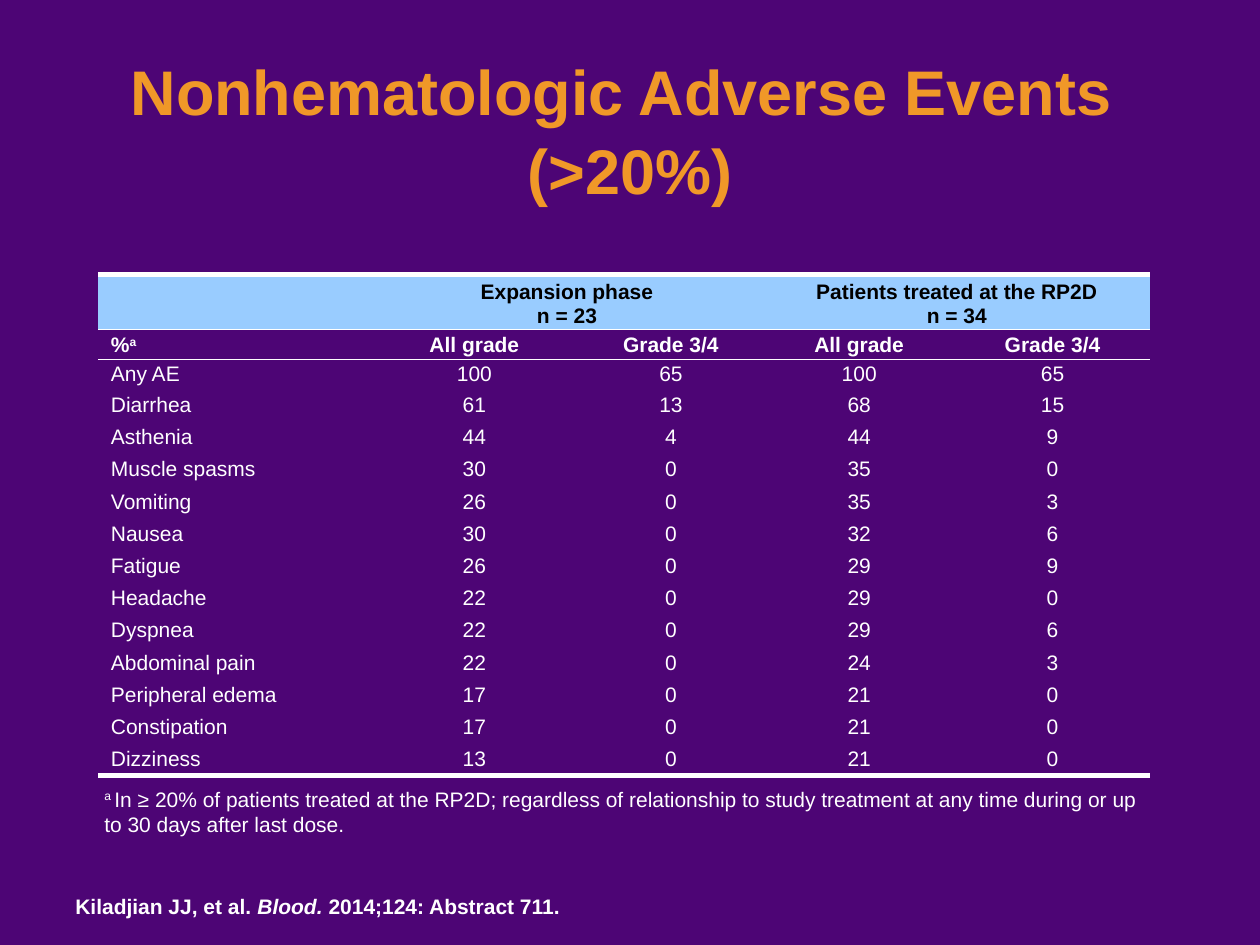
from lxml import etree
from pptx import Presentation
from pptx.dml.color import RGBColor
from pptx.enum.text import MSO_ANCHOR, PP_ALIGN
from pptx.oxml.ns import qn
from pptx.util import Pt

LEFT, CENTER = PP_ALIGN.LEFT, PP_ALIGN.CENTER
TOP, MIDDLE, BOTTOM = MSO_ANCHOR.TOP, MSO_ANCHOR.MIDDLE, MSO_ANCHOR.BOTTOM

FONT = "Arial"
BODY_SIZE = 12
NO_STYLE = "{2D5ABB26-0587-4C30-8999-92F81FD0307C}"
COLORS = {
    "background": "4D0575",
    "title": "F09828",
    "band": "99CCFF",
    "dark": "000000",
    "light": "FFFFFF",
}

TITLE = ["Nonhematologic Adverse Events ", "(>20%)"]
GROUPS = [
    ("Expansion phase", "n = 23"),
    ("Patients treated at the RP2D", "n = 34"),
]
GRADES = ["All grade", "Grade 3/4"]
EVENTS = [
    ("Any AE", 100, 65, 100, 65),
    ("Diarrhea", 61, 13, 68, 15),
    ("Asthenia", 44, 4, 44, 9),
    ("Muscle spasms", 30, 0, 35, 0),
    ("Vomiting", 26, 0, 35, 3),
    ("Nausea", 30, 0, 32, 6),
    ("Fatigue", 26, 0, 29, 9),
    ("Headache", 22, 0, 29, 0),
    ("Dyspnea", 22, 0, 29, 6),
    ("Abdominal pain", 22, 0, 24, 3),
    ("Peripheral edema", 17, 0, 21, 0),
    ("Constipation", 17, 0, 21, 0),
    ("Dizziness", 13, 0, 21, 0),
]
FOOTNOTE = [
    ("a ", {"raised": True}),
    ("In ≥ 20% of patients treated at the RP2D; regardless of relationship to "
     "study treatment at any time during or up to 30 days after last dose.", {}),
]
CITATION = [
    ("Kiladjian JJ, et al. ", {"bold": True}),
    ("Blood. ", {"bold": True, "italic": True}),
    ("2014;124: Abstract 711.", {"bold": True}),
]

COLUMN_WIDTHS = [155.5, 118.8, 105.8, 109.4, 111.6]
ROW_HEIGHTS = [30.2, 16.4, 16.4] + [18.4] * (len(EVENTS) - 1)


def color(name):
    return RGBColor.from_string(COLORS[name])


def add_span(para, text, size=BODY_SIZE, ink="light", bold=False, italic=False, raised=False):
    span = para.add_run()
    span.text = text
    span.font.name = FONT
    span.font.size = Pt(size)
    span.font.bold = bold
    span.font.italic = italic
    span.font.color.rgb = color(ink)
    if raised:
        span.font._element.set("baseline", "30000")


def add_box(page, left, top, width, height, anchor=TOP, wrap=True):
    box = page.shapes.add_textbox(Pt(left), Pt(top), Pt(width), Pt(height))
    box.text_frame.word_wrap = wrap
    box.text_frame.vertical_anchor = anchor
    return box.text_frame.paragraphs[0]


def add_border(cell, side, width):
    properties = cell._tc.get_or_add_tcPr()
    line = etree.Element(qn(f"a:ln{side}"), w=str(Pt(width)))
    fill = etree.SubElement(line, qn("a:solidFill"))
    etree.SubElement(fill, qn("a:srgbClr"), val=COLORS["light"])
    properties.insert(len(properties.findall(qn("a:lnT"))), line)


def fill_cell(cell, lines, align=CENTER, anchor=MIDDLE):
    cell.vertical_anchor = anchor
    frame = cell.text_frame
    for index, spans in enumerate(lines):
        para = frame.add_paragraph() if index else frame.paragraphs[0]
        para.alignment = align
        for text, style in spans:
            add_span(para, text, **style)


def add_event_table(page):
    shape = page.shapes.add_table(
        len(ROW_HEIGHTS), len(COLUMN_WIDTHS), Pt(56.2), Pt(157),
        Pt(sum(COLUMN_WIDTHS)), Pt(sum(ROW_HEIGHTS)))
    table = shape.table
    table.first_row = table.horz_banding = False
    table._tbl.tblPr.find(qn("a:tableStyleId")).text = NO_STYLE
    for column, width in zip(table.columns, COLUMN_WIDTHS):
        column.width = Pt(width)
    for row, height in zip(table.rows, ROW_HEIGHTS):
        row.height = Pt(height)
    for cell in table.iter_cells():
        cell.margin_top = cell.margin_bottom = Pt(1.3)
        cell.fill.background()

    for index, group in enumerate(GROUPS):
        first = 1 + index * len(GRADES)
        table.cell(0, first).merge(table.cell(0, first + len(GRADES) - 1))
        lines = [[(text, {"bold": True, "ink": "dark"})] for text in group]
        fill_cell(table.cell(0, first), lines, anchor=BOTTOM)

    percent = [("%", {"bold": True}), ("a", {"bold": True, "raised": True})]
    fill_cell(table.cell(1, 0), [percent], LEFT, BOTTOM)
    for column, grade in enumerate(GRADES * len(GROUPS), 1):
        fill_cell(table.cell(1, column), [[(grade, {"bold": True})]], anchor=BOTTOM)

    for row, event in enumerate(EVENTS, 2):
        for column, value in enumerate(event):
            fill_cell(table.cell(row, column), [[(str(value), {})]],
                      CENTER if column else LEFT)

    for column in range(len(COLUMN_WIDTHS)):
        header = table.cell(0, column)
        header.fill.solid()
        header.fill.fore_color.rgb = color("band")
        add_border(header, "T", 3)
        add_border(header, "B", 1)
        add_border(table.cell(1, column), "T", 1)
        add_border(table.cell(len(ROW_HEIGHTS) - 1, column), "B", 3)


def main():
    deck = Presentation()
    deck.slide_width, deck.slide_height = Pt(720), Pt(540)
    page = deck.slides.add_slide(deck.slide_layouts[6])
    page.background.fill.solid()
    page.background.fill.fore_color.rgb = color("background")

    para = add_box(page, 0, 62, 720, 60, BOTTOM)
    para.alignment = CENTER
    para.line_spacing = 1.05
    for index, text in enumerate(TITLE):
        if index:
            para.add_line_break()
        add_span(para, text, size=36, ink="title", bold=True)

    add_event_table(page)

    notes = [
        (add_box(page, 52.5, 445.7, 605.5, 36), FOOTNOTE),
        (add_box(page, 36, 507, 297.4, 21.6, wrap=False), CITATION),
    ]
    for para, spans in notes:
        for text, style in spans:
            add_span(para, text, **style)

    deck.save("out.pptx")


if __name__ == "__main__":
    main()
